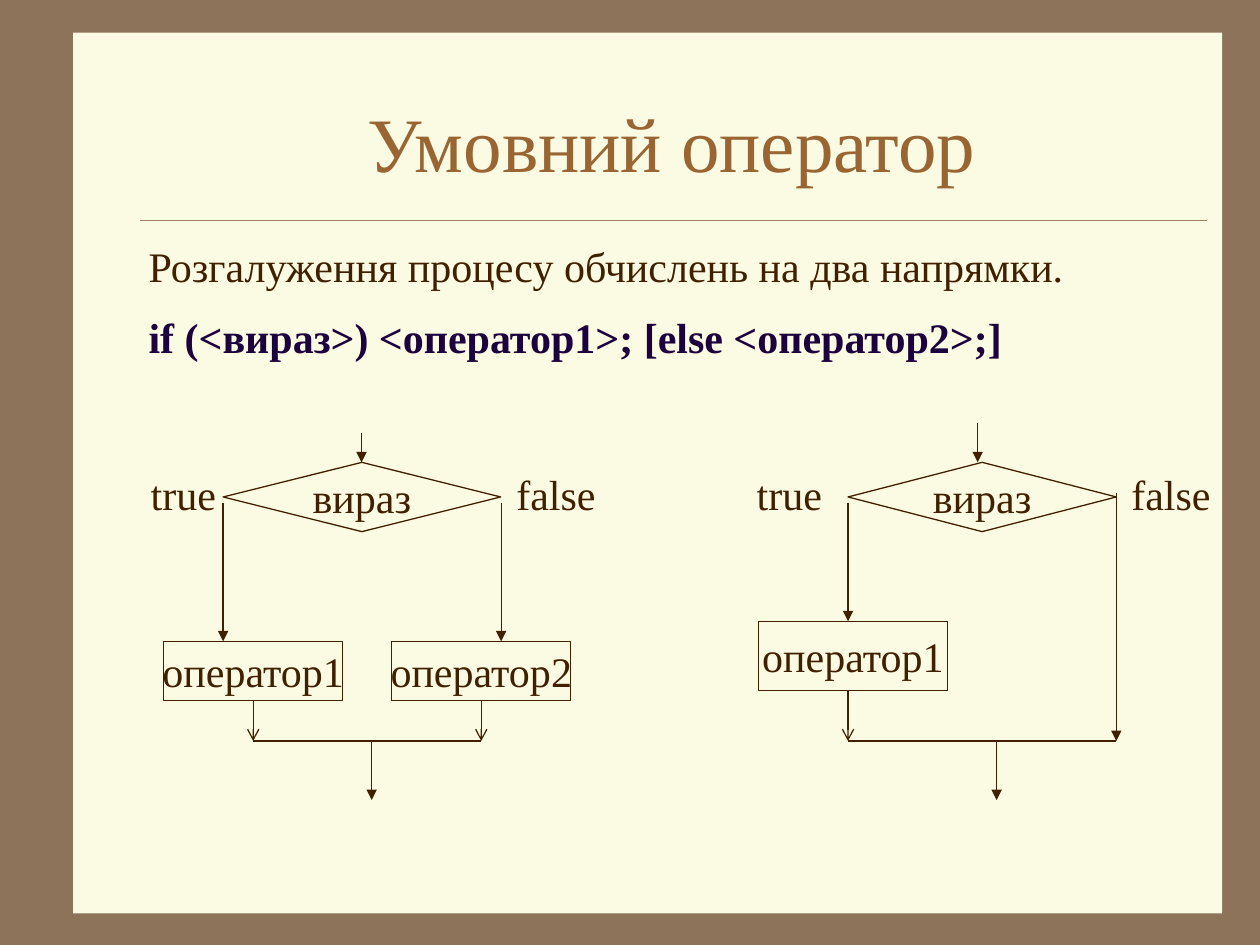
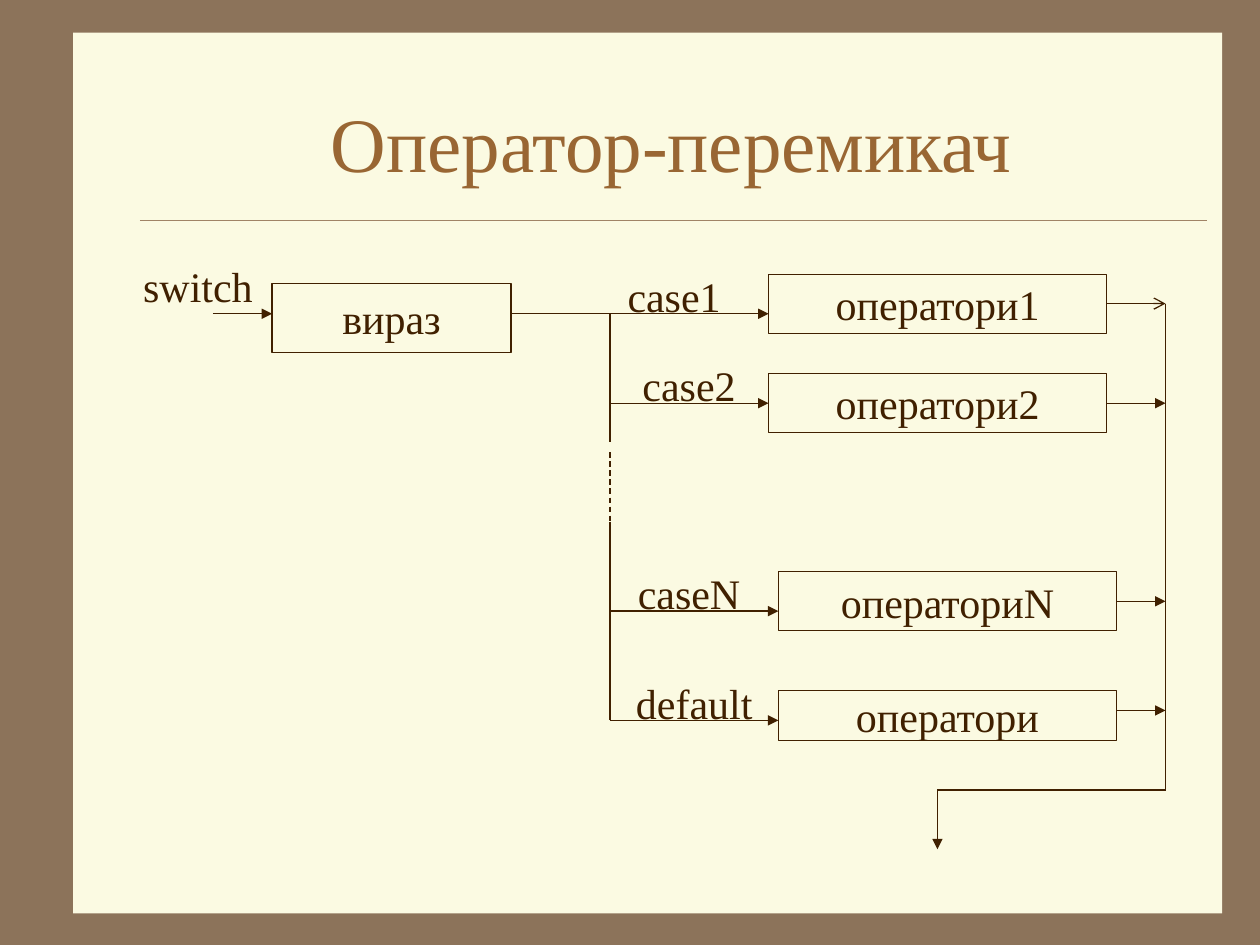
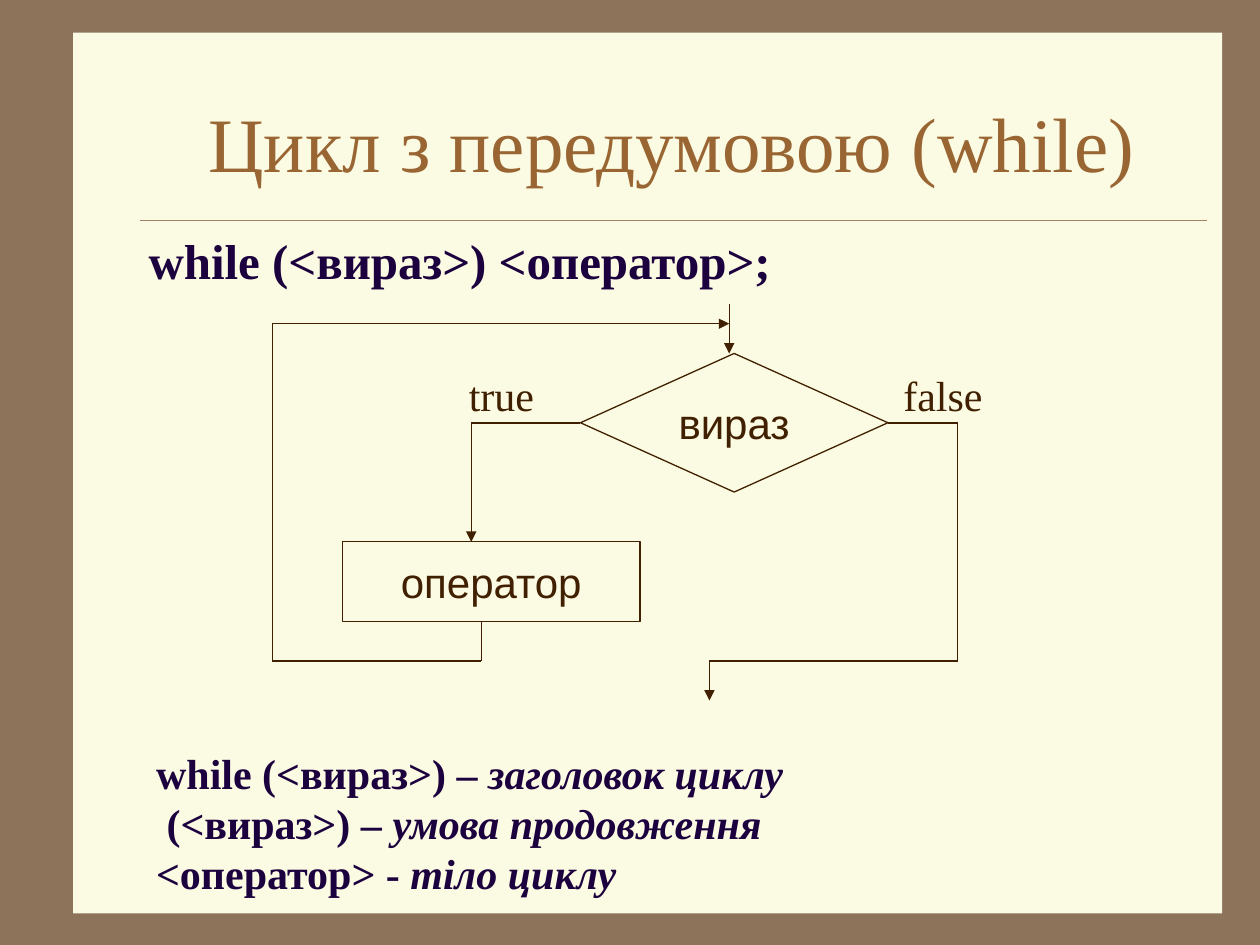
import pptx
import pptx.dml.color
import pptx.enum.dml
import pptx.enum.shapes
import pptx.enum.text
import pptx.oxml
import pptx.oxml.ns
import pptx.util
from lxml import etree

Pt = pptx.util.Pt
Shape = pptx.enum.shapes.MSO_SHAPE
Align = pptx.enum.text.PP_ALIGN
Anchor = pptx.enum.text.MSO_ANCHOR

COLORS = {
    "back": "8C735A",
    "panel": "FBFAE2",
    "rule": "A08366",
    "title": "996633",
    "ink": "402000",
    "code": "1C013F",
}
SERIF, SANS = "Times New Roman", "Arial"


def rgb(name):
    return pptx.dml.color.RGBColor.from_string(COLORS[name])


def child(parent, tag, **attrs):
    return etree.SubElement(parent, pptx.oxml.ns.qn(tag), attrs)


class Deck:
    def __init__(self):
        self.file = pptx.Presentation()
        self.file.slide_width, self.file.slide_height = Pt(720), Pt(540)
        self.slide = None

    def page(self, title):
        """Start a slide with the shared panel, title and rule."""
        self.slide = self.file.slides.add_slide(self.file.slide_layouts[6])
        fill = self.slide.background.fill
        fill.solid()
        fill.fore_color.rgb = rgb("back")
        panel = self.shape(Shape.RECTANGLE, 41.8, 18.7, 656.6, 503.3)
        panel.fill.solid()
        panel.fill.fore_color.rgb = rgb("panel")
        panel.line.fill.background()
        self.trace([(79.9, 126), (689.8, 126)], color="rule", width=0.25)
        box = self.text(77.8, 36, 612, 90, Anchor.MIDDLE)
        self.para(box, align=Align.CENTER)
        self.run(box, title, 44, "title")

    def shape(self, kind, x, y, w, h):
        item = self.slide.shapes.add_shape(kind, Pt(x), Pt(y), Pt(w), Pt(h))
        item.shadow.inherit = False
        return item

    def node(self, words, x, y, w, h, kind=Shape.RECTANGLE, font=SERIF):
        """Draw an outlined flowchart block with centred text."""
        item = self.shape(kind, x, y, w, h)
        item.fill.background()
        item.line.color.rgb = rgb("ink")
        item.line.width = Pt(0.75)
        frame = item.text_frame
        frame.word_wrap = False
        frame.vertical_anchor = Anchor.MIDDLE
        self.para(frame, align=Align.CENTER)
        self.run(frame, words, font=font)

    def text(self, x, y, w, h, anchor=Anchor.TOP):
        item = self.slide.shapes.add_textbox(Pt(x), Pt(y), Pt(w), Pt(h))
        frame = item.text_frame
        frame.word_wrap = True
        frame.vertical_anchor = anchor
        return frame

    def para(self, frame, before=0, align=Align.LEFT):
        """Open a paragraph, using the empty first one if it is free."""
        last = frame.paragraphs[-1]
        para = frame.add_paragraph() if last.runs else last
        para.alignment = align
        para.space_before = Pt(before)

    def run(self, frame, words, size=24, color="ink", font=SERIF, bold=False, slant=False):
        run = frame.paragraphs[-1].add_run()
        run.text = words
        run.font.size = Pt(size)
        run.font.name = font
        run.font.bold = bold
        run.font.italic = slant
        run.font.color.rgb = rgb(color)

    def label(self, words, x, y, w):
        frame = self.text(x, y, w, 36)
        self.para(frame, 15, Align.CENTER)
        self.run(frame, words)

    def trace(self, points, head=None, dash=False, color="ink", width=0.75):
        """Join points with lines; the last line may end in an arrowhead."""
        for start, end in zip(points, points[1:]):
            line = self.slide.shapes.add_connector(
                pptx.enum.shapes.MSO_CONNECTOR.STRAIGHT, *map(Pt, start + end))
            line.line.color.rgb = rgb(color)
            line.line.width = Pt(width)
            if dash:
                line.line.dash_style = pptx.enum.dml.MSO_LINE.DASH
            if head and end == points[-1]:
                child(line.line._get_or_add_ln(), "a:tailEnd", type=head)
            child(line._element.spPr, "a:effectLst")

    def arrow(self, *points):
        self.trace(points, "triangle")


def branch(deck):
    deck.page("Умовний оператор")
    body = deck.text(77.8, 133.9, 612, 374.4)
    deck.para(body, 6)
    deck.run(body, "Розгалуження процесу обчислень на два напрямки.")
    deck.para(body, 12)
    deck.run(body, "if (<вираз>) <оператор1>; [else <оператор2>;]", color="code", bold=True)

    top, side, join, end = 264.2, 287.3, 423.4, 457.2

    # Full form with two operators
    deck.node("вираз", 127.5, top, 158.6, 39.6, Shape.FLOWCHART_DECISION)
    deck.arrow((206.6, 247.7), (206.6, top))
    for words, x, entry, out in (("оператор1", 93.6, 127.5, 144.7),
                                 ("оператор2", 223.9, 286.4, 275)):
        deck.node(words, x, 366.5, 102.2, 33.8)
        deck.arrow((entry, side), (entry, 366.5))
        deck.trace([(out, 400.3), (out, join)], "arrow")
    deck.trace([(144.7, join), (275, join)])
    deck.arrow((212.4, join), (212.4, end))

    # Short form with one operator
    left, right = 484.6, 637.9
    deck.node("вираз", left, top, right - left, 39.6, Shape.DIAMOND)
    deck.node("оператор1", 433.4, 355, 108, 39.6)
    deck.arrow((558.7, 241.9), (558.7, top))
    deck.arrow((left, side), (left, 355))
    deck.trace([(left, 394.6), (left, join)], "arrow")
    deck.trace([(left, join), (right, join)])
    deck.arrow((right, 281.5), (right, join))
    deck.arrow((569.5, join), (569.5, end))

    for yes, no in ((76.3, 286.4), (422.6, right)):
        deck.label("true", yes, top, 56.9)
        deck.label("false", no, top, 62.6)


def switch(deck):
    deck.page("Оператор-перемикач")
    trunk, exit = 348.5, 666
    deck.label("switch", 70.6, 145.4, 85)
    deck.node("вираз", 155.5, 162, 136.5, 39.6)
    deck.arrow((121.7, 179.3), (155.5, 179.3))

    # label, its left and width, wire start and height, block, its left, top, height, way out
    cases = (
        ("case1", 342.7, 85, 292, 179.3, "оператори1", 439.2, 156.7, 33.8, 173.5, "arrow"),
        ("case2", 354.2, 79.2, trunk, 230.4, "оператори2", 439.2, 213.3, 33.8, 230.4, "triangle"),
        ("caseN", 354.2, 79.2, trunk, 349.2, "операториN", 444.8, 326.7, 33.8, 343.6, "triangle"),
        ("default", 354.2, 85, trunk, 411.7, "оператори", 444.8, 394.6, 28.4, 406, "triangle"),
    )
    for name, x, wide, start, wire, words, left, top, tall, out, head in cases:
        deck.node(words, left, top, 193.2, tall)
        deck.arrow((start, wire), (left, wire))
        deck.trace([(left + 193.2, out), (exit, out)], head)
        deck.label(name, x, wire - 28.3, wide)

    deck.trace([(trunk, 179.3), (trunk, 252.7)])
    deck.trace([(trunk, 258.5), (trunk, 298.1)], dash=True)
    deck.trace([(trunk, 298.1), (trunk, 411.7)])
    deck.arrow((exit, 173.5), (exit, 451.4), (535.7, 451.4), (535.7, 485.3))


def loop(deck):
    deck.page("Цикл з передумовою (while)")
    body = deck.text(77.8, 128.2, 612, 385.2)
    deck.para(body, 7)
    deck.run(body, "while (<вираз>) <оператор>;", 28, "code", bold=True)

    side, low = 241.7, 377.8
    deck.node("вираз", 331.7, 202, 175.7, 79.2, Shape.DIAMOND, SANS)
    deck.node("оператор", 195.8, 309.6, 169.9, 45.4, font=SANS)
    deck.arrow((416.7, 173.5), (416.7, 202))
    deck.arrow((331.7, side), (269.3, side), (269.3, 309.6))
    deck.arrow((275, 355), (275, low), (155.7, low), (155.7, 185), (416.7, 185))
    deck.arrow((507.4, side), (547.2, side), (547.2, low), (405.4, low), (405.4, 400.3))
    deck.label("true", 241.2, 207.4, 90.7)
    deck.label("false", 507.6, 207.4, 62.6)

    notes = deck.text(82.1, 423.4, 380.2, 93.6)
    deck.para(notes, 15)
    for row, (code, sense) in enumerate((("while (<вираз>) – ", "заголовок циклу"),
                                         (" (<вираз>) – ", "умова продовження"),
                                         ("<оператор> - ", "тіло циклу"))):
        if row:
            notes.paragraphs[-1].add_line_break()
        deck.run(notes, code, color="code", bold=True)
        deck.run(notes, sense, color="code", bold=True, slant=True)


def main():
    deck = Deck()
    branch(deck)
    switch(deck)
    loop(deck)
    deck.file.save("out.pptx")


if __name__ == "__main__":
    main()
